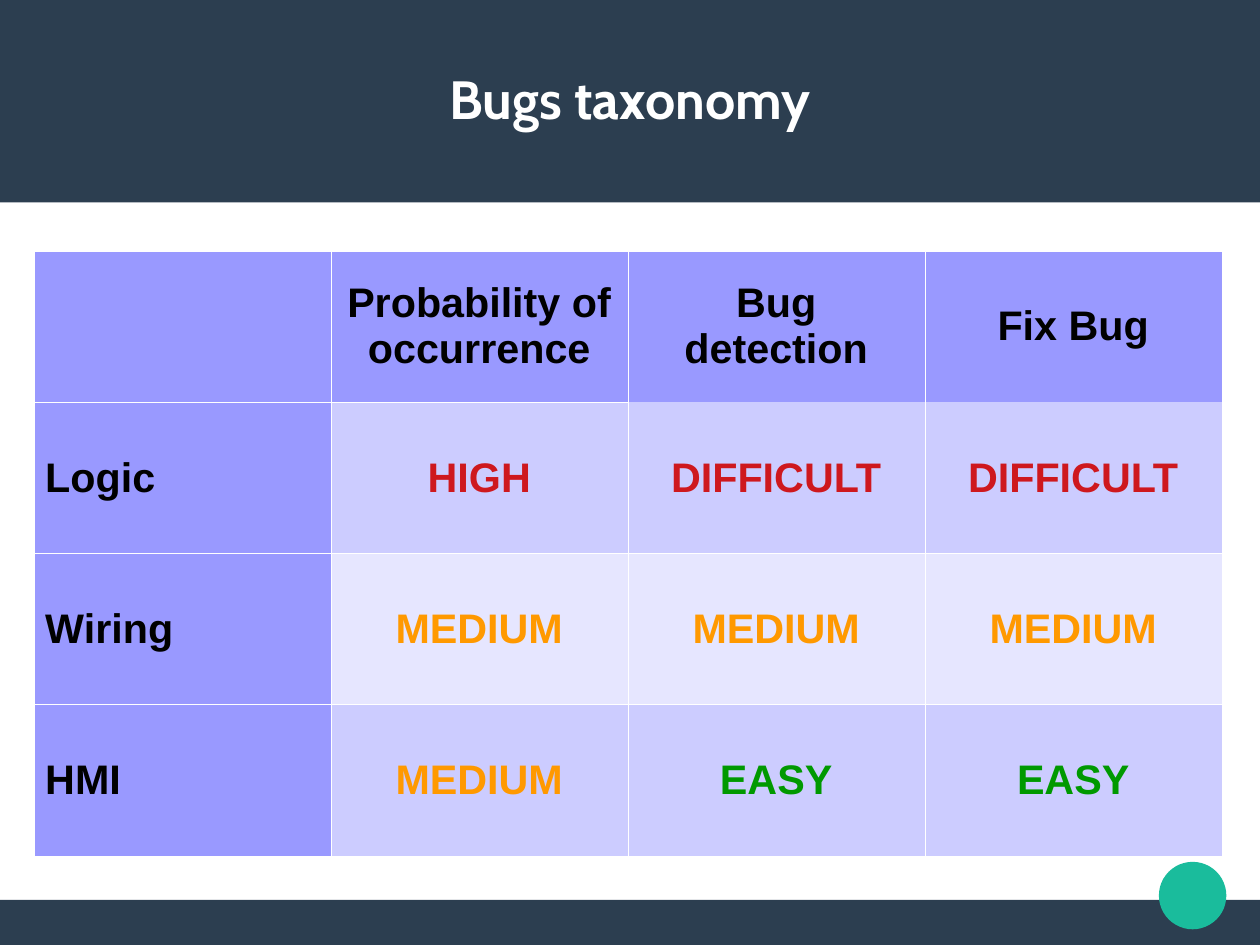
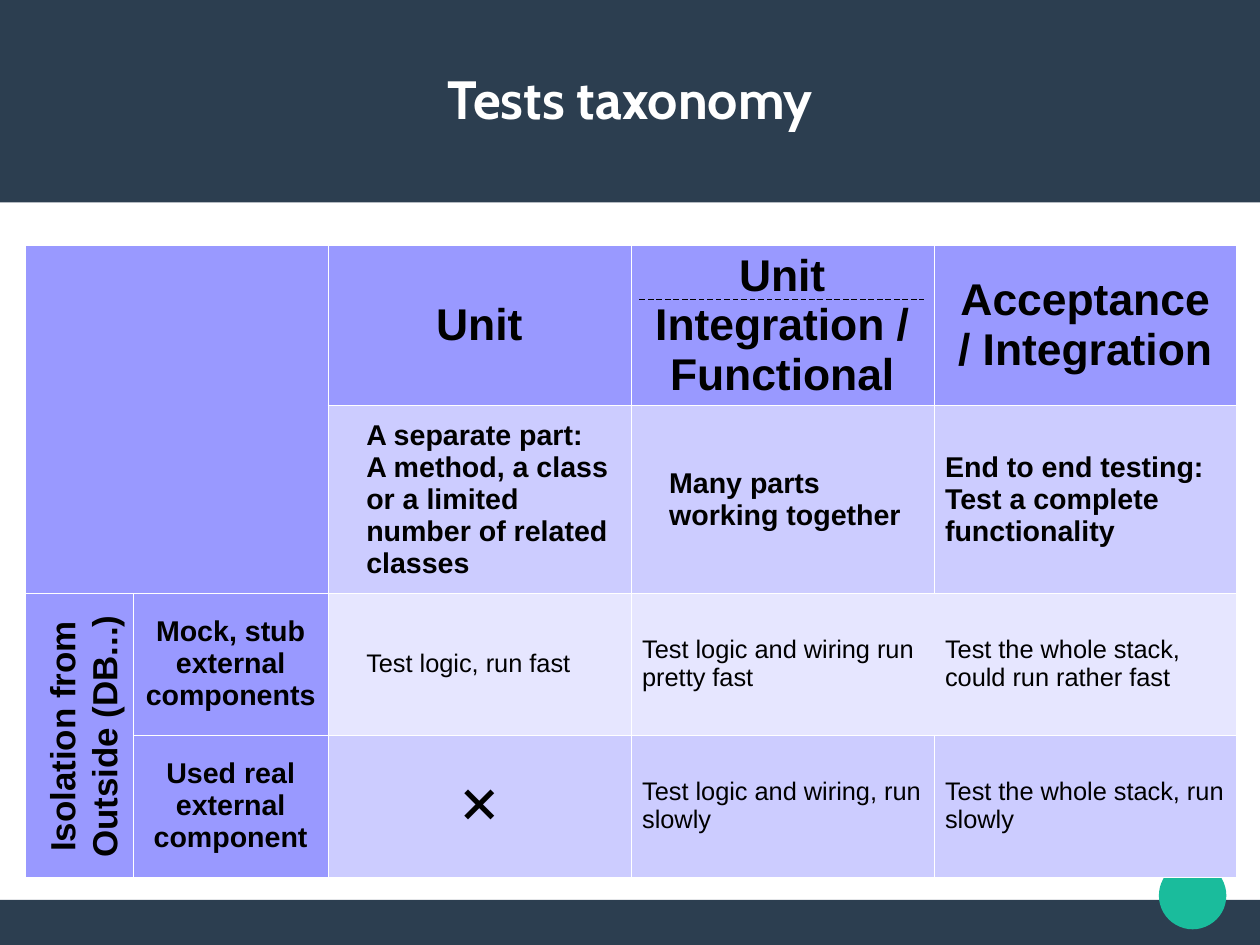
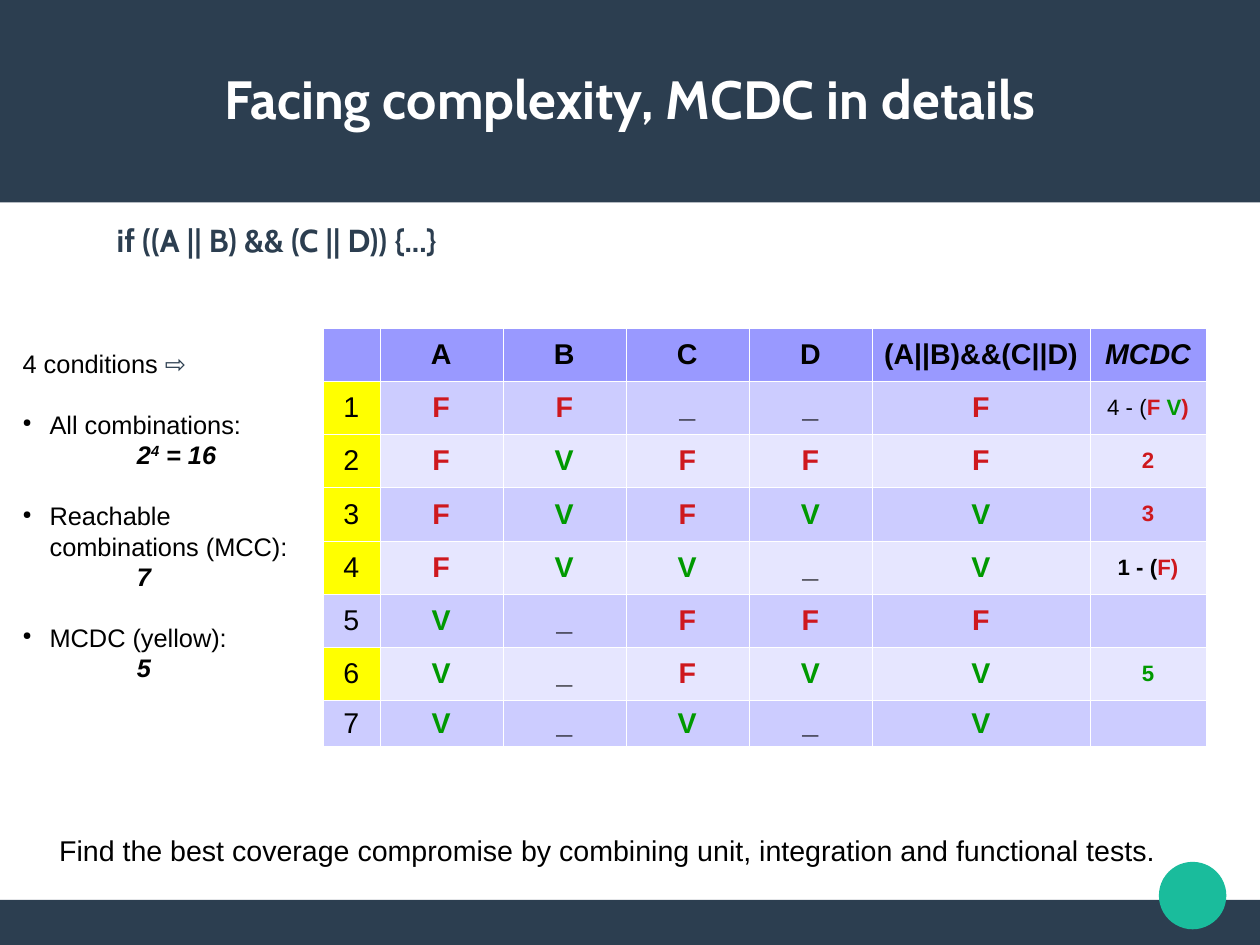
"""Three slides on bug and test taxonomies and MCDC coverage."""
import pptx
import pptx.dml.color
import pptx.enum.dml
import pptx.enum.shapes
import pptx.enum.text
import pptx.oxml
import pptx.oxml.ns
import pptx.util

Pt = pptx.util.Pt
RGB = pptx.dml.color.RGBColor
ALIGN = pptx.enum.text.PP_ALIGN
SHAPE = pptx.enum.shapes.MSO_SHAPE
MIDDLE = pptx.enum.text.MSO_ANCHOR.MIDDLE
SPACE = pptx.oxml.ns.nsdecls("a")

NAVY, TEAL = RGB(0x2C, 0x3E, 0x50), RGB(0x1A, 0xBC, 0x9C)
WHITE, BLACK = RGB(255, 255, 255), RGB(0, 0, 0)
HEAD, MID, LIGHT = RGB(0x99, 0x99, 0xFF), RGB(0xCC, 0xCC, 0xFF), RGB(0xE6, 0xE6, 0xFF)
YELLOW, RED = RGB(255, 255, 0), RGB(0xCE, 0x18, 0x1E)
ORANGE, GREEN = RGB(0xFF, 0x99, 0), RGB(0, 0x99, 0)

WIDE, HIGH = 793.7, 595.28
FRAME = [
    (SHAPE.RECTANGLE, (0, 566.9, WIDE, 28.38), NAVY),
    (SHAPE.RECTANGLE, (0, 0, WIDE, 127.5), NAVY),
    (SHAPE.OVAL, (730, 542.9, 42.5, 42.5), TEAL),
]
TITLE_BOX = (28.2, 24, 737.5, 75.5)
TONES = {"HIGH": RED, "DIFFICULT": RED, "MEDIUM": ORANGE, "EASY": GREEN,
         "F": RED, "V": GREEN}

BUGS = [
    ["", "Probability of occurrence", "Bug detection", "Fix Bug"],
    ["Logic", "HIGH", "DIFFICULT", "DIFFICULT"],
    ["Wiring", "MEDIUM", "MEDIUM", "MEDIUM"],
    ["HMI", "MEDIUM", "EASY", "EASY"],
]
TESTS = [
    ["", "", "Unit", "Unit\nIntegration / Functional", "Acceptance\n/ Integration"],
    ["", "",
     "A separate part:\nA method, a class or a limited number of related classes",
     "Many parts working together",
     "End to end testing:\nTest a complete functionality"],
    ["", "Mock, stub external components", "Test logic, run fast",
     "Test logic and wiring run pretty fast",
     "Test the whole stack, could run rather fast"],
    ["", "Used real external component", "⨉",
     "Test logic and wiring, run slowly", "Test the whole stack, run slowly"],
]
INSET = {(1, 2), (1, 3), (2, 2)}
ASIDE = "Isolation from\nOutside (DB...)"

CODE = "if ((A || B) && (C || D)) {...}"
HEADS = ["", "A", "B", "C", "D", "(A||B)&&(C||D)", "MCDC"]
CASES = ["FF__F", "FVFFF", "FVFVV", "FVV_V", "V_FFF", "V_FVV", "V_V_V"]
PROOFS = {
    1: [("4 - (", BLACK, False), ("F ", RED, True), ("V", GREEN, True), (")", RED, True)],
    2: [("2", RED, True)],
    3: [("3", RED, True)],
    4: [("1 - (", BLACK, True), ("F)", RED, True)],
    6: [("5", GREEN, True)],
}
COUNTS = [
    ("All combinations:", [("2", 0), ("4", 33000), (" = 16", 0)]),
    ("Reachable combinations (MCC):", [("7", 0)]),
    ("MCDC (yellow):", [("5", 0)]),
]
MORAL = ("Find the best coverage compromise by combining unit, "
         "integration and functional tests.")


def place(box):
    """Turn a box in points into lengths."""
    return [Pt(side) for side in box]


def run(text, size, color=BLACK, bold=False, ital=False, font="Arial", base=0):
    """Describe one run of text."""
    return text, size, color, bold, ital, font, base


def write(frame, lines, align=ALIGN.LEFT):
    """Write lines of runs into a text frame and return the paragraphs."""
    paras = []
    for line in lines:
        para = frame.add_paragraph() if paras else frame.paragraphs[0]
        para.alignment = align
        for text, size, color, bold, ital, font, base in line:
            part = para.add_run()
            part.text = text
            part.font.size = Pt(size)
            part.font.color.rgb = color
            part.font.bold, part.font.italic, part.font.name = bold, ital, font
            if base:
                part.font._element.set("baseline", str(base))
        paras.append(para)
    return paras


def dent(para, left, first=0):
    """Set the left margin and first-line indent of a paragraph."""
    props = para._p.get_or_add_pPr()
    props.set("marL", str(Pt(left)))
    props.set("indent", str(Pt(first)))
    return props


def add_text(slide, box, lines, align=ALIGN.LEFT, turn=0):
    """Add a text box and return its paragraphs."""
    shape = slide.shapes.add_textbox(*place(box))
    shape.rotation = turn
    shape.text_frame.word_wrap = True
    return write(shape.text_frame, lines, align)


def edge(cell, bare):
    """Draw white hairlines around a cell, save on its bare sides."""
    props = cell._tc.get_or_add_tcPr()
    for spot, side in enumerate("LRTB"):
        fill = ("<a:noFill/>" if side in bare else
                f'<a:solidFill><a:srgbClr val="{WHITE}"/></a:solidFill>')
        props.insert(spot, pptx.oxml.parse_xml(
            f'<a:ln{side} {SPACE} w="762">{fill}</a:ln{side}>'))


def add_grid(slide, spot, cols, rows, style, spans=(), bare=()):
    """Add a table; style(row, col) gives lines, alignment, indent and fill."""
    shape = slide.shapes.add_table(
        len(rows), len(cols), *place((*spot, sum(cols), sum(rows))))
    table = shape.table
    table.first_row = table.horz_banding = False
    mark = shape.element.xpath(".//a:tableStyleId")[0]
    mark.text = "{2D5ABB26-0587-4C30-8999-92F81FD0307C}"
    for col, size in zip(table.columns, cols):
        col.width = Pt(size)
    for row, size in zip(table.rows, rows):
        row.height = Pt(size)
    for top, left, end, right in spans:
        table.cell(top, left).merge(table.cell(end, right))
    for r in range(len(rows)):
        for c in range(len(cols)):
            cell = table.cell(r, c)
            lines, align, left, fill = style(r, c)
            cell.fill.solid()
            cell.fill.fore_color.rgb = fill
            cell.vertical_anchor = MIDDLE
            edge(cell, [side for side in "LRTB" if (r, c, side) in bare])
            if lines:
                for para in write(cell.text_frame, lines, align):
                    dent(para, left)
            else:
                cell.text_frame.paragraphs[0]._p.append(
                    pptx.oxml.parse_xml(f'<a:endParaRPr {SPACE} sz="1400"/>'))


def shade(r, c, heads):
    """Choose the fill of a cell with the given number of head columns."""
    return HEAD if r == 0 or c < heads else (LIGHT, MID)[r % 2]


def bug_style(r, c):
    """Style a cell of the bug table."""
    text = BUGS[r][c]
    lines = [[run(text, 26, TONES.get(text, BLACK), True)]] if text else []
    return lines, ALIGN.CENTER if c else ALIGN.LEFT, 0, shade(r, c, 1)


def test_style(r, c):
    """Style a cell of the test table."""
    text = TESTS[r][c]
    cross = text == "⨉"
    bold = r < 2 or c < 2 or cross
    size = 28 if r == 0 else 24 if cross else 18 if bold else 16
    font = "DejaVu Sans" if cross else "Arial"
    lines = [[run(line, size, bold=bold, font=font)] for line in text.splitlines()]
    align = ALIGN.CENTER if r == 0 or c < 2 or cross else ALIGN.LEFT
    return lines, align, 17 if (r, c) in INSET else 0, shade(r, c, 2)


def case_style(r, c):
    """Style a cell of the truth table."""
    fill = YELLOW if c == 0 and r in PROOFS else shade(r, c, 0)
    if r == 0:
        runs = [run(HEADS[c], 18, bold=True, ital=c == 6)] if c else []
    elif c == 0:
        runs = [run(str(r), 18)]
    elif c == 6:
        runs = [run(text, 14, color, bold) for text, color, bold in PROOFS.get(r, [])]
    else:
        text = CASES[r - 1][c - 1]
        runs = [run(text, 18, TONES.get(text, BLACK), True)]
    return [runs] if runs else [], ALIGN.CENTER, 0, fill


def set_frame(layout, slide):
    """Put the bands, the dot and the title place on the layout."""
    tree = layout.shapes.element
    for spot, (kind, box, color) in enumerate(FRAME):
        shape = slide.shapes.add_shape(kind, *place(box))
        shape.shadow.inherit = False
        shape.fill.solid()
        shape.fill.fore_color.rgb = color
        shape.line.fill.background()
        shape.element.xpath("./p:nvSpPr/p:cNvPr")[0].set("id", str(20 + spot))
        tree.insert(2 + spot, shape.element)
    title = next(p for p in layout.placeholders if p.placeholder_format.idx == 0)
    title.left, title.top, title.width, title.height = place(TITLE_BOX)


def set_title(slide, text):
    """Fill and format the title."""
    frame = slide.shapes.title.text_frame
    frame.margin_left = frame.margin_right = frame.margin_top = frame.margin_bottom = 0
    frame.vertical_anchor = MIDDLE
    frame.auto_size = pptx.enum.text.MSO_AUTO_SIZE.NONE
    write(frame, [[run(text, 33.9, WHITE, True, font="Cabin")]], ALIGN.CENTER)


def add_bugs(slide):
    """Build the bug slide."""
    add_grid(slide, (21.3, 158.1), [187.1] * 4, [95.25] * 4, bug_style,
             bare={(0, 2, "B"), (0, 3, "B"), (1, 2, "T"), (1, 3, "T")})


def add_tests(slide):
    """Build the test slide."""
    add_grid(slide, (15.7, 154.5), [68.4, 122.4] + [190.8] * 3,
             [100, 118.3, 89.3, 89.3], test_style,
             spans=[(0, 0, 1, 1), (2, 0, 3, 0)],
             bare={(2, 3, "R"), (2, 4, "L")})
    add_text(slide, (-40, 436, 180, 56),
             [[run(line, 22, bold=True)] for line in ASIDE.splitlines()],
             ALIGN.CENTER, 270)
    rule = slide.shapes.add_connector(
        pptx.enum.shapes.MSO_CONNECTOR.STRAIGHT, *place((403, 188.5, 582, 188.5)))
    rule.line.color.rgb = BLACK
    rule.line.width = Pt(0.01)
    rule.line.dash_style = pptx.enum.dml.MSO_LINE.DASH
    rule.element.spPr.append(pptx.oxml.parse_xml(f"<a:effectLst {SPACE}/>"))


def add_cases(slide):
    """Build the coverage slide."""
    add_text(slide, (66.4, 135.4, 500, 34),
             [[run(CODE, 20, NAVY, True, font="Cabin")]])
    add_grid(slide, (203.5, 206.5), [35.7] + [77.5] * 4 + [137.5, 73],
             [33.55] * 7 + [27.4], case_style)
    lines = [[run("4 conditions ", 16), run("⇨", 16, NAVY, font="DejaVu Sans")]]
    for label, value in COUNTS:
        lines.append([run(label, 16)])
        lines.append([run(text, 16, bold=True, ital=True, base=base)
                      for text, base in value])
    pitch = Pt(19.2)
    for spot, para in enumerate(add_text(slide, (7.2, 215.6, 191, 221), lines)):
        para.line_spacing = pitch
        if spot % 2:
            para.space_before = pitch
            props = dent(para, 17, -17)
            for mark in (
                    f'<a:buClr {SPACE}><a:srgbClr val="{BLACK}"/></a:buClr>',
                    f'<a:buSzPct {SPACE} val="45000"/>',
                    f'<a:buChar {SPACE} char="●"/>'):
                props.append(pptx.oxml.parse_xml(mark))
        elif spot:
            dent(para, 72)
    add_text(slide, (30.2, 521.3, 725, 27.5), [[run(MORAL, 18)]])


def main():
    """Build and save the deck."""
    deck = pptx.Presentation()
    deck.slide_width, deck.slide_height = Pt(WIDE), Pt(HIGH)
    layout = deck.slide_layouts[5]
    pages = [("Bugs taxonomy", add_bugs), ("Tests taxonomy", add_tests),
             ("Facing complexity, MCDC in details", add_cases)]
    for spot, (title, build) in enumerate(pages):
        slide = deck.slides.add_slide(layout)
        if spot == 0:
            set_frame(layout, slide)
        set_title(slide, title)
        build(slide)
    deck.save("out.pptx")


if __name__ == "__main__":
    main()
